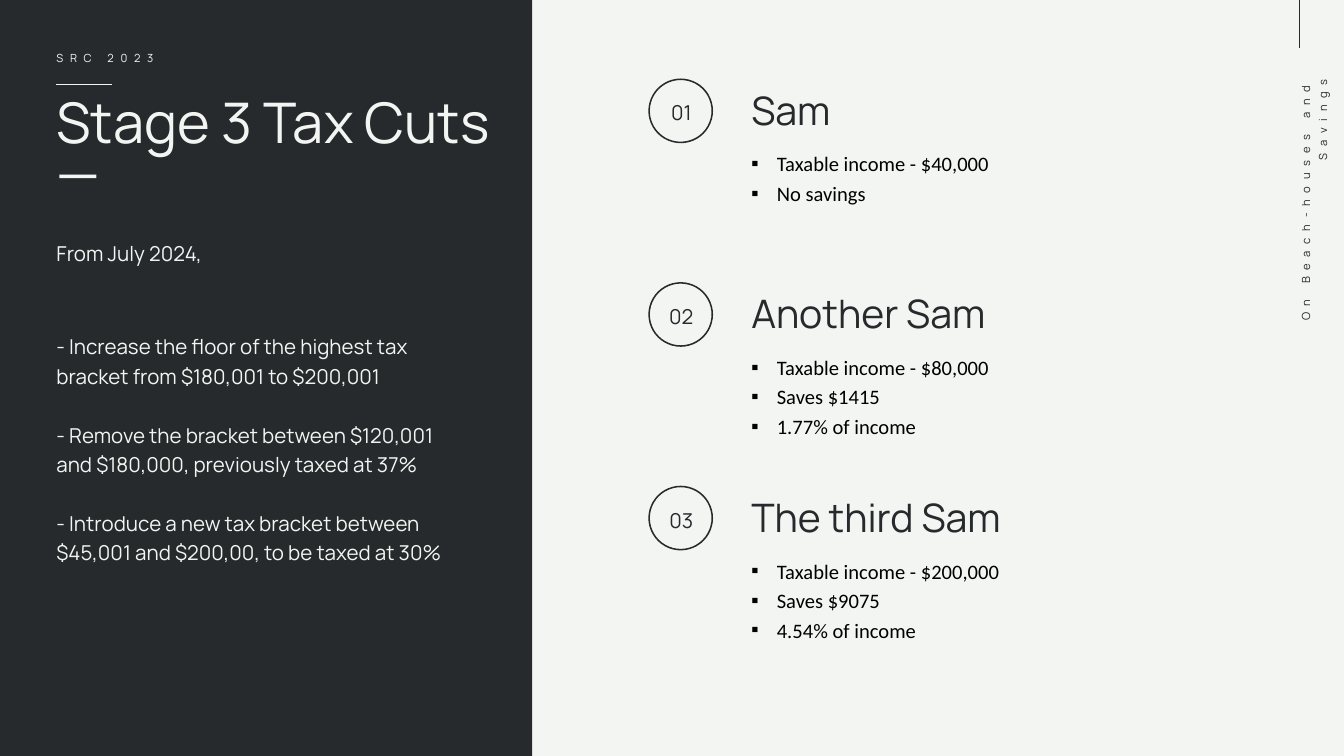
import dataclasses

import lxml.etree
import pptx
import pptx.dml.color
import pptx.enum.shapes
import pptx.enum.text
import pptx.oxml.ns
import pptx.util

Inches = pptx.util.Inches
ALIGN = pptx.enum.text.PP_ALIGN
SHAPE = pptx.enum.shapes.MSO_SHAPE


@dataclasses.dataclass(frozen=True)
class Theme:
    dark: str = "262A2D"
    light: str = "F3F5F2"
    black: str = "000000"
    font: str = "Manrope"
    detail_font: str = "Calibri"
    # (type size, line spacing) in points
    title: tuple = (30, 27)
    heading: tuple = (21, 23.7)
    body: tuple = (11, 15.8)
    label: tuple = (6, 9)
    tracking: float = 3.6
    rule_width: float = 0.42
    circle_width: float = 0.83


THEME = Theme()

# 16:9 slide
SLIDE_WIDTH = 10
SLIDE_HEIGHT = SLIDE_WIDTH * 9 / 16

CASES = [
    ("Sam", ["Taxable income - $40,000", "No savings"]),
    ("Another Sam", ["Taxable income - $80,000", "Saves $1415", "1.77% of income"]),
    ("The third Sam", ["Taxable income - $200,000", "Saves $9075", "4.54% of income"]),
]
FIRST_TOP, LAST_TOP = 0.59, 3.62
CASE_PITCH = (LAST_TOP - FIRST_TOP) / (len(CASES) - 1)

CHANGES = [
    "- Increase the floor of the highest tax bracket from $180,001 to $200,001",
    "- Remove the bracket between $120,001 and $180,000, previously taxed at 37%",
    "- Introduce a new tax bracket between $45,001 and $200,00, to be taxed at 30%",
]


def rgb(value):
    return pptx.dml.color.RGBColor.from_string(value)


def apply_format(target, values):
    for name, value in values.items():
        setattr(target, name, value)


def add_bullet(paragraph, font):
    properties = paragraph._p.get_or_add_pPr()
    properties.set("marL", str(Inches(0.19)))
    properties.set("indent", str(-Inches(0.19)))
    for tag, name, value in (("a:buFont", "typeface", font), ("a:buChar", "char", "▪")):
        part = lxml.etree.SubElement(properties, pptx.oxml.ns.qn(tag))
        part.set(name, value)


def add_text(shapes, box, lines, style, color, font=THEME.font, align=ALIGN.LEFT,
             gap=0, tracking=0, bulleted=False):
    """Add a text box without insets, one paragraph for each line."""
    shape = shapes.add_textbox(*map(Inches, box))
    frame = shape.text_frame
    apply_format(frame, {
        "word_wrap": True, "margin_left": 0, "margin_right": 0,
        "margin_top": 0, "margin_bottom": 0,
    })
    size, spacing = style
    for index, line in enumerate(lines):
        paragraph = frame.add_paragraph() if index else frame.paragraphs[0]
        apply_format(paragraph, {
            "alignment": align,
            "line_spacing": pptx.util.Pt(spacing),
            "space_before": pptx.util.Pt(gap if index else 0),
        })
        if bulleted:
            add_bullet(paragraph, font)
        run = paragraph.add_run()
        run.text = line
        apply_format(run.font, {"name": font, "size": pptx.util.Pt(size)})
        run.font.color.rgb = rgb(color)
        if tracking:
            run._r.get_or_add_rPr().set("spc", str(round(tracking * 100)))
    return shape


def add_panel(shapes, box, color):
    panel = shapes.add_shape(SHAPE.RECTANGLE, *map(Inches, box))
    panel.shadow.inherit = False
    panel.fill.solid()
    panel.fill.fore_color.rgb = rgb(color)
    panel.line.fill.background()


def add_circle(shapes, left, top, diameter):
    box = (left, top, diameter, diameter)
    circle = shapes.add_shape(SHAPE.OVAL, *map(Inches, box))
    circle.shadow.inherit = False
    circle.fill.background()
    circle.line.color.rgb = rgb(THEME.dark)
    circle.line.width = pptx.util.Pt(THEME.circle_width)


def add_rule(shapes, ends, color):
    rule = shapes.add_connector(
        pptx.enum.shapes.MSO_CONNECTOR.STRAIGHT, *map(Inches, ends))
    rule.line.color.rgb = rgb(color)
    rule.line.width = pptx.util.Pt(THEME.rule_width)
    lxml.etree.SubElement(rule.element.spPr, pptx.oxml.ns.qn("a:effectLst"))


def add_case(slide, number, name, details):
    """Add a numbered circle with its heading and bulleted details."""
    shapes = slide.shapes.add_group_shape().shapes
    top = FIRST_TOP + (number - 1) * CASE_PITCH
    add_circle(shapes, 4.83, top, 0.47)
    add_text(shapes, (4.84, top + 0.12, 0.46, 0.22), [f"{number:02}"],
             THEME.body, THEME.dark, align=ALIGN.CENTER)
    add_text(shapes, (5.59, top + 0.07, 4, 0.33), [name], THEME.heading, THEME.dark)
    add_text(shapes, (5.59, top + 0.5, 4, 0.88), details, THEME.body, THEME.black,
             font=THEME.detail_font, bulleted=True)


def main():
    presentation = pptx.Presentation()
    presentation.slide_width = Inches(SLIDE_WIDTH)
    presentation.slide_height = Inches(SLIDE_HEIGHT)
    slide = presentation.slides.add_slide(presentation.slide_layouts[6])
    slide.background.fill.solid()
    slide.background.fill.fore_color.rgb = rgb(THEME.light)
    shapes = slide.shapes

    # Dark panel with the title and the tax changes
    add_panel(shapes, (0, 0, 3.96, SLIDE_HEIGHT), THEME.dark)
    add_text(shapes, (0.42, 0.36, 3, 0.12), ["SRC 2023"], THEME.label, THEME.light,
             tracking=THEME.tracking)
    add_rule(shapes, (0.42, 0.63, 0.83, 0.63), THEME.light)
    add_text(shapes, (0.42, 0.78, 4, 0.75), ["Stage 3 Tax Cuts", "—"],
             THEME.title, THEME.light)
    add_text(shapes, (0.42, 1.76, 3, 0.22), ["From July 2024,"],
             THEME.body, THEME.light)
    add_text(shapes, (0.42, 2.45, 3, 1.75), CHANGES, THEME.body, THEME.light,
             gap=THEME.body[1])

    # Numbered cases
    for number, (name, details) in enumerate(CASES, start=1):
        add_case(slide, number, name, details)

    # Vertical label at the right edge
    add_rule(shapes, (9.67, 0, 9.67, 0.36), THEME.dark)
    label = add_text(shapes, (8.47, 1.76, 2.46, 0.12), ["On Beach-houses and Savings"],
                     THEME.label, THEME.dark, align=ALIGN.RIGHT,
                     tracking=THEME.tracking)
    label.rotation = 270

    presentation.save("out.pptx")


if __name__ == "__main__":
    main()
